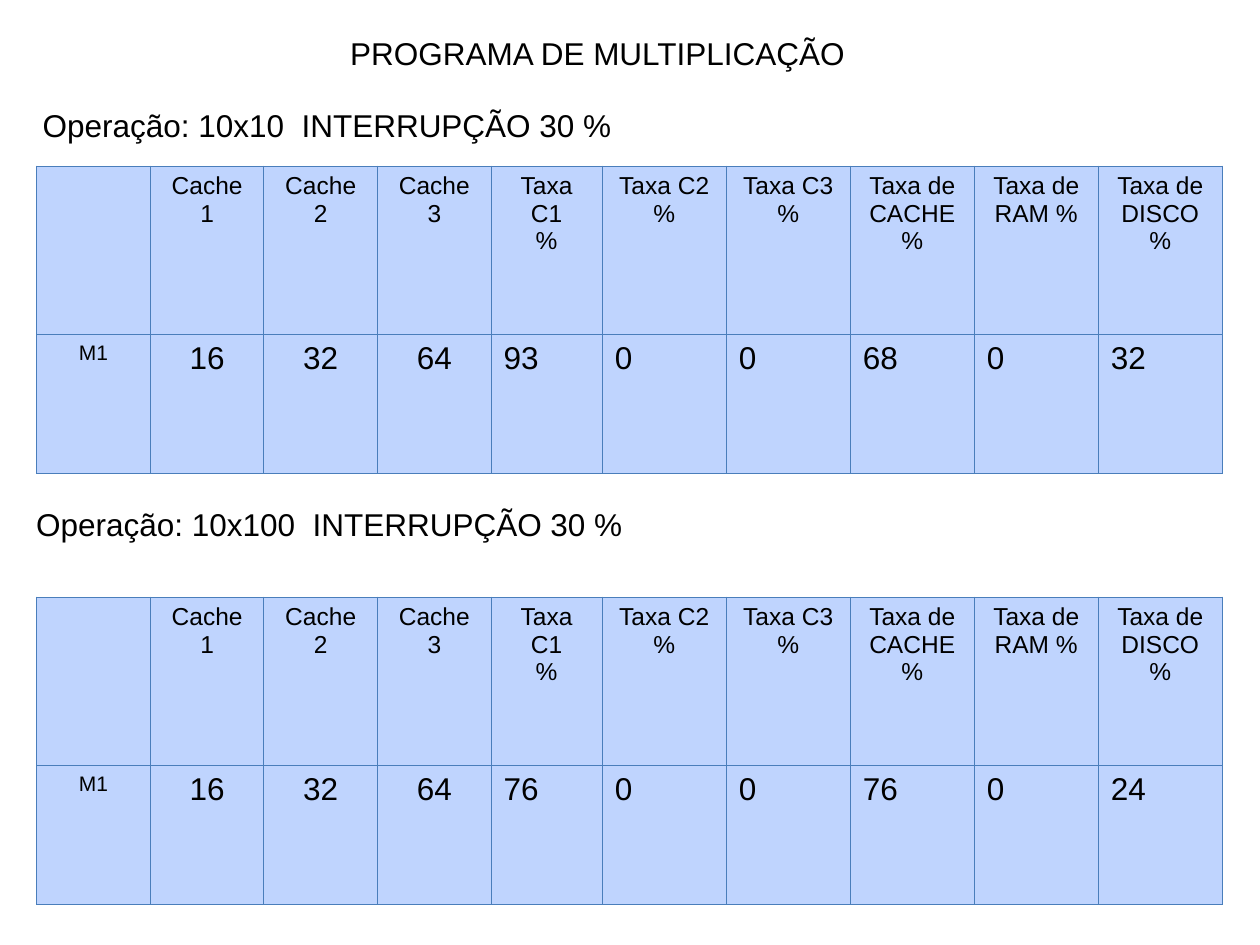
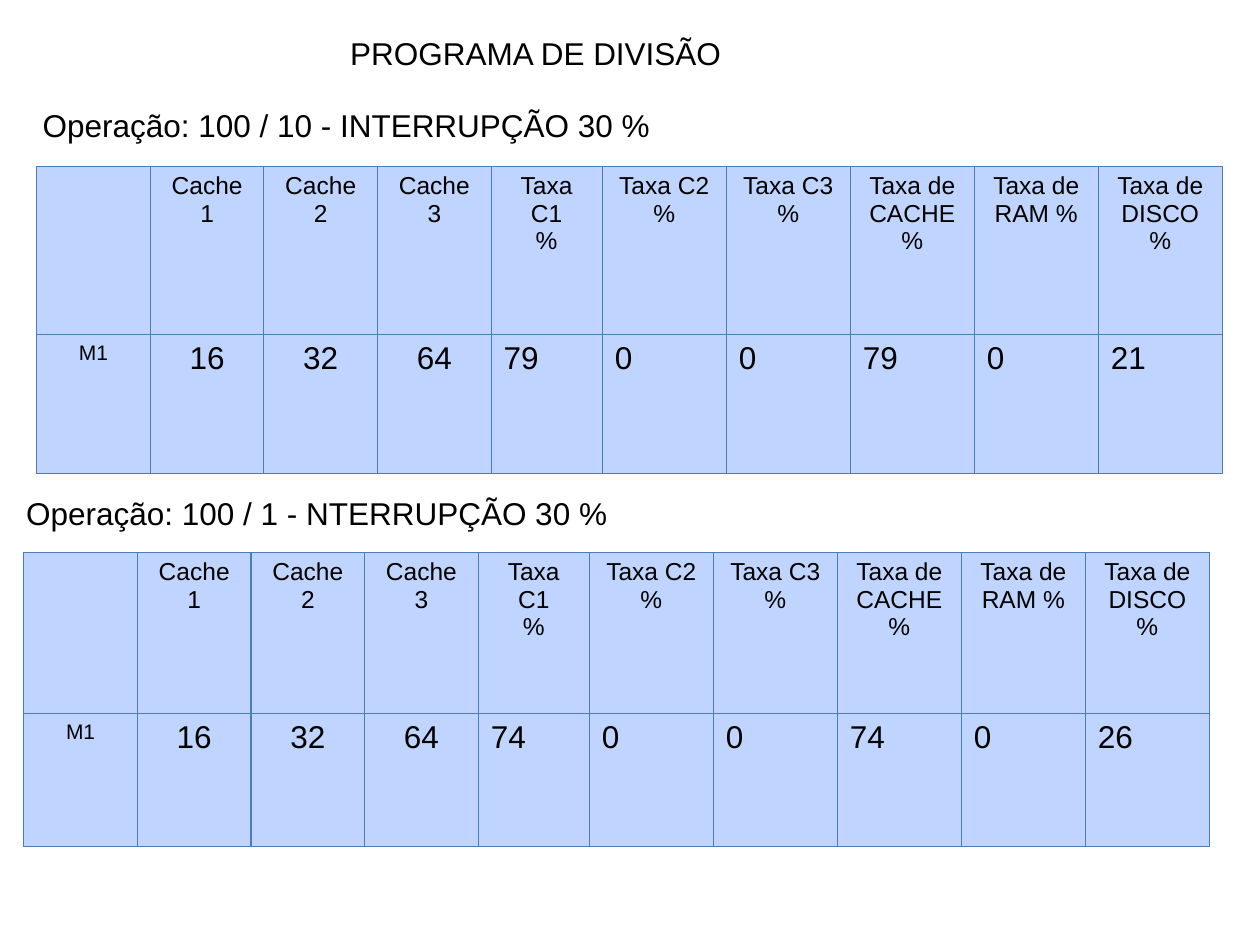
from lxml import etree
from pptx import Presentation
from pptx.dml.color import RGBColor
from pptx.enum.text import PP_ALIGN
from pptx.oxml.ns import qn
from pptx.util import Cm, Pt

CENTER = PP_ALIGN.CENTER
LEFT = PP_ALIGN.LEFT

HEADERS = ["", "Cache 1", "Cache 2", "Cache 3", "Taxa C1\n%", "Taxa C2\n%",
           "Taxa C3\n%", "Taxa de CACHE %", "Taxa de RAM %", "Taxa de DISCO %"]
MACHINE = ["M1", "16", "32", "64"]
COLUMN_WIDTHS = [2.29] * 4 + [2.24] + [2.5] * 5
ROW_HEIGHTS = [3.4, 2.79]
COMPACT_ROW_HEIGHTS = [3.26, 2.68]


def color(hex_string):
    return RGBColor.from_string(hex_string)


class Deck:
    font = "Arial"
    text_color = "000000"
    cell_fill = "BFD4FE"
    border_color = "4A7EBB"
    border_width = Pt(0.75)
    body_size = 18
    header_size = 14
    machine_size = 12

    def __init__(self):
        self.presentation = Presentation()
        self.presentation.slide_width = Cm(25.4)
        self.presentation.slide_height = Cm(19.05)
        self.slide = None

    def add_slide(self, title):
        layout = self.presentation.slide_layouts[6]
        self.slide = self.presentation.slides.add_slide(layout)
        self.add_text(title, 6.81, 0.56, 22.78, 0.84)

    def format_text(self, text_frame, size, alignment=LEFT):
        for paragraph in text_frame.paragraphs:
            paragraph.alignment = alignment
            for run in paragraph.runs:
                run.font.name = self.font
                run.font.size = Pt(size)
                run.font.color.rgb = color(self.text_color)

    def add_text(self, text, left, top, width, height):
        shape = self.slide.shapes.add_textbox(Cm(left), Cm(top), Cm(width), Cm(height))
        shape.text_frame.word_wrap = True
        shape.text_frame.text = text
        self.format_text(shape.text_frame, self.body_size)

    def add_borders(self, cell):
        properties = cell._tc.get_or_add_tcPr()
        for side in ("a:lnL", "a:lnR", "a:lnT", "a:lnB"):
            line = etree.SubElement(properties, qn(side), w=str(self.border_width))
            fill = etree.SubElement(line, qn("a:solidFill"))
            etree.SubElement(fill, qn("a:srgbClr"), val=self.border_color)

    def add_cell(self, cell, text, size, alignment):
        self.add_borders(cell)
        cell.fill.solid()
        cell.fill.fore_color.rgb = color(self.cell_fill)
        cell.text_frame.text = text
        self.format_text(cell.text_frame, size, alignment)

    def add_rates_table(self, rates, left, top, row_heights):
        shape = self.slide.shapes.add_table(
            len(row_heights), len(COLUMN_WIDTHS), Cm(left), Cm(top),
            Cm(sum(COLUMN_WIDTHS)), Cm(sum(row_heights)))
        table = shape.table
        table.first_row = False
        table.horz_banding = False
        for column, width in zip(table.columns, COLUMN_WIDTHS):
            column.width = Cm(width)
        for row, height in zip(table.rows, row_heights):
            row.height = Cm(height)
        for index, header in enumerate(HEADERS):
            self.add_cell(table.cell(0, index), header, self.header_size, CENTER)
        for index, value in enumerate(MACHINE + rates):
            size = self.body_size if index else self.machine_size
            alignment = CENTER if index < len(MACHINE) else LEFT
            self.add_cell(table.cell(1, index), value, size, alignment)

    def add_operation(self, label, label_box, rates, left, top, row_heights=ROW_HEIGHTS):
        self.add_text(label, *label_box)
        self.add_rates_table(rates, left, top, row_heights)


def main():
    deck = Deck()

    deck.add_slide("PROGRAMA DE MULTIPLICAÇÃO")
    deck.add_operation("Operação: 10x10  INTERRUPÇÃO 30 %", (0.61, 2.01, 15.52, 0.84),
                       ["93", "0", "0", "68", "0", "32"], 0.74, 3.35)
    deck.add_operation("Operação: 10x100  INTERRUPÇÃO 30 %", (0.48, 10.06, 17.58, 0.94),
                       ["76", "0", "0", "76", "0", "24"], 0.74, 12.04)

    deck.add_slide("PROGRAMA DE DIVISÃO")
    deck.add_operation("Operação: 100 / 10 - INTERRUPÇÃO 30 %", (0.61, 2.01, 18.21, 0.84),
                       ["79", "0", "0", "79", "0", "21"], 0.74, 3.35)
    deck.add_operation("Operação: 100 / 1 - NTERRUPÇÃO 30 %", (0.28, 9.83, 12.65, 0.94),
                       ["74", "0", "0", "74", "0", "26"], 0.48, 11.13, COMPACT_ROW_HEIGHTS)

    deck.presentation.save("out.pptx")


if __name__ == "__main__":
    main()
